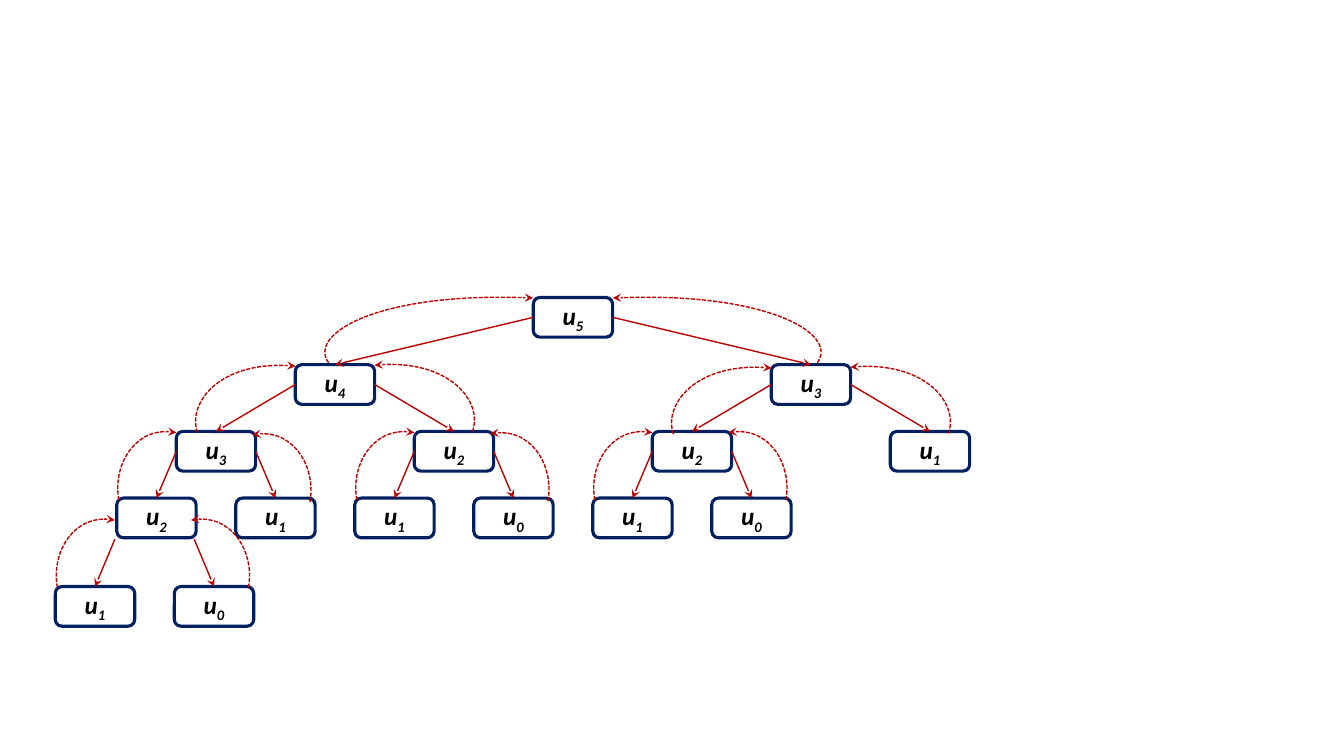
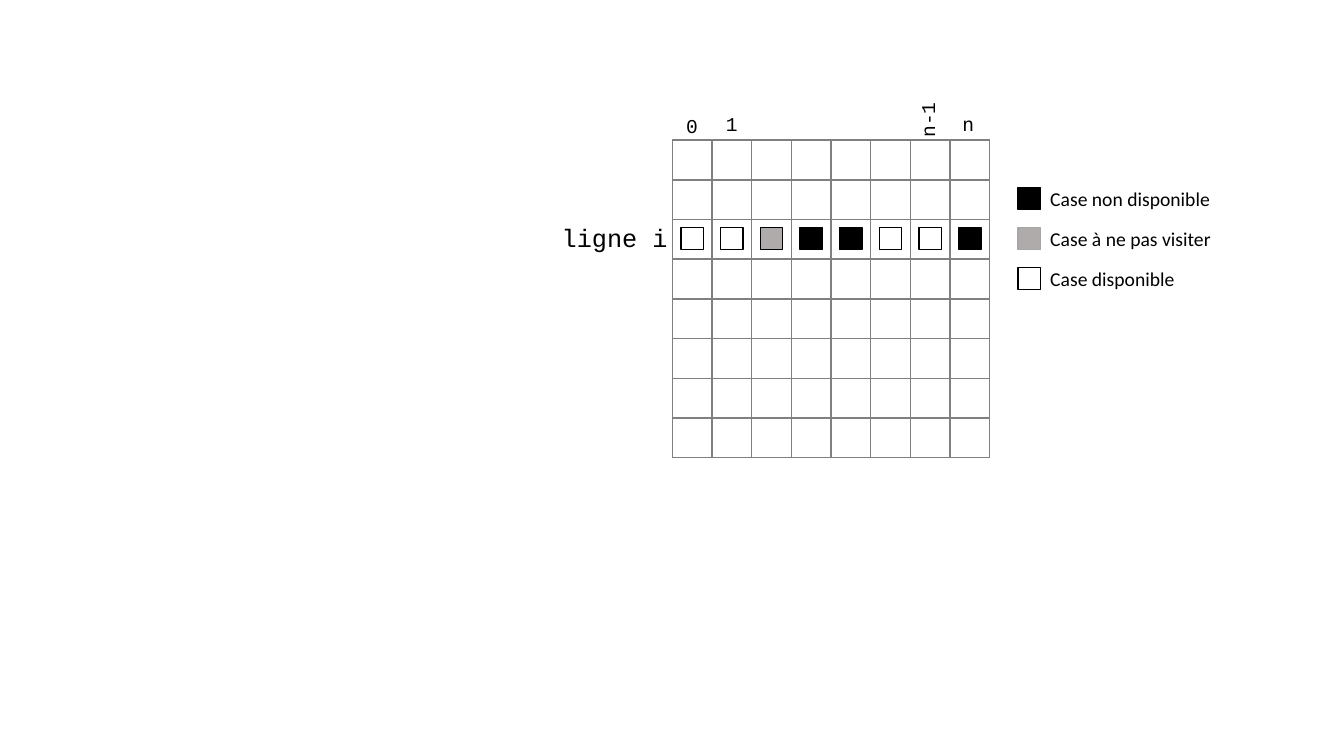
from dataclasses import dataclass
from typing import NamedTuple

from lxml.etree import SubElement
from pptx import Presentation
from pptx.dml.color import RGBColor
from pptx.enum.dml import MSO_LINE
from pptx.enum.shapes import MSO_CONNECTOR as Link, MSO_SHAPE as Preset
from pptx.enum.text import MSO_ANCHOR as Anchor, MSO_AUTO_SIZE as AutoSize, PP_ALIGN as Align
from pptx.oxml.ns import qn
from pptx.util import Pt

BLACK, WHITE, NAVY, RED = "000000", "FFFFFF", "002060", "C00000"
GRID_GREY, SKIP_GREY, LEGEND_GREY = "808080", "AFABAB", "A6A6A6"
SANS, MONO = "Calibri", "Courier New"

NODE_WIDTH, NODE_HEIGHT = 56.7, 28.35
ROOT_CENTRE = 409.3
ARROW_RISE = 33.8
LAST_SHIFT = -1.4
TOP, LEFT, RIGHT = 0, 1, 3

CELL, CELLS = 28.35, 8
GRID_LEFT, GRID_TOP = 480.2, 100.1
SQUARE = 15.9
LEGEND_LEFT, LEGEND_TOP, LEGEND_STEP = 727.2, 133.9, 28.6


class Point(NamedTuple):
    x: float
    y: float


SHORT_ARC = (Point(-4.4, -22.3), Point(10.8, -54), Point(41, -48.2))
MEDIUM_ARC = (Point(-7.4, -21.6), Point(18, -52.5), Point(70, -47.3))
LONG_ARC = (Point(-15.4, -20.9), Point(38.2, -51.4), Point(146, -46.2))


class Level(NamedTuple):
    top: float
    spread: float
    left_inset: float = 0
    right_inset: float = 0
    arc: tuple[Point, ...] = ()


LEVELS = (
    Level(212.5, 0),
    Level(260.5, 170, 23.8, 23.8, LONG_ARC),
    Level(308.2, 85, 15.1, 15.1, MEDIUM_ARC),
    Level(355.8, 42.5, 1.5, 3.8, SHORT_ARC),
    Level(419, 42.5, 1.5, 3.8, SHORT_ARC),
)


@dataclass
class Node:
    index: int
    drop: float = 0
    children: tuple["Node", ...] = ()


@dataclass
class Branch:
    parent: object
    child: object
    depth: int
    side: int
    parent_centre: float
    child_centre: float
    drop: float


class Kind(NamedTuple):
    fill: str | None
    label: str
    legend_line: str = BLACK


class Caption(NamedTuple):
    text: str
    left: float
    top: float
    width: float
    height: float = 24.5
    size: float = 14
    font: str = MONO
    align: Align | None = Align.CENTER
    rotation: float = 0
    anchor: Anchor = Anchor.TOP
    wrap: bool = True


CALLS = Node(5, 0, (
    Node(4, -1.4, (
        Node(3, 0.7, (
            Node(2, 1.4, (Node(1, 0.7), Node(0, 0.7))),
            Node(1, 2.9),
        )),
        Node(2, 0, (Node(1, 1.4), Node(0, 2.2))),
    )),
    Node(3, -1.4, (
        Node(2, 2, (Node(1, 1.4), Node(0, 1.4))),
        Node(1, 1.4),
    )),
))

BLOCKED = Kind(BLACK, "Case non disponible")
SKIPPED = Kind(SKIP_GREY, "Case à ne pas visiter", LEGEND_GREY)
FREE = Kind(None, "Case disponible")
ROW_I = (FREE, FREE, SKIPPED, BLOCKED, BLOCKED, FREE, FREE, BLOCKED)

CAPTIONS = (
    Caption("ligne i", 377.3, 155.5, 106.6, 28.8, 18, align=Align.RIGHT),
    Caption("0", GRID_LEFT, 77.8, CELL),
    Caption("1", GRID_LEFT + CELL, 76.3, CELL),
    Caption("n-1", 641.5, 72.7, 41, align=None, rotation=270, anchor=Anchor.BOTTOM),
    Caption("n", 677.5, 76.3, CELL),
)


def colour(value: str) -> RGBColor:
    return RGBColor.from_string(value)


def paint(shape, fill: str | None, line: str, width: float) -> None:
    shape.shadow.inherit = False
    if fill is None:
        shape.fill.background()
    else:
        shape.fill.solid()
        shape.fill.fore_color.rgb = colour(fill)
    shape.line.color.rgb = colour(line)
    shape.line.width = Pt(width)


def add_arrowhead(shape) -> None:
    SubElement(shape.line._get_or_add_ln(), qn("a:tailEnd"), type="stealth")


def add_line(page, start: Point, end: Point, line: str):
    connector = page.shapes.add_connector(
        Link.STRAIGHT, Pt(start.x), Pt(start.y), Pt(end.x), Pt(end.y))
    connector.line.color.rgb = colour(line)
    connector.line.width = Pt(1)
    SubElement(connector._element.spPr, qn("a:effectLst"))
    return connector


def add_curve(page, points: list[Point]) -> None:
    vertices = [(Pt(point.x), Pt(point.y)) for point in points]
    builder = page.shapes.build_freeform(*vertices[0])
    builder.add_line_segments(vertices[1:], close=False)
    curve = builder.convert_to_shape()
    segments = list(curve._element.iter(qn("a:lnTo")))
    outline = segments[0].getparent()
    bezier = SubElement(outline, qn("a:cubicBezTo"))
    for segment in segments:
        bezier.append(segment[0])
        outline.remove(segment)
    paint(curve, None, RED, 1)
    curve.line.dash_style = MSO_LINE.SQUARE_DOT
    add_arrowhead(curve)


def add_node(page, index: int, centre: float, top: float):
    box = page.shapes.add_shape(
        Preset.ROUNDED_RECTANGLE, Pt(centre - NODE_WIDTH / 2), Pt(top),
        Pt(NODE_WIDTH), Pt(NODE_HEIGHT))
    paint(box, WHITE, NAVY, 2.25)
    box.text_frame.vertical_anchor = Anchor.MIDDLE
    para = box.text_frame.paragraphs[0]
    para.alignment = Align.CENTER
    for text in ("u", str(index)):
        span = para.add_run()
        span.text = text
        span.font.name = SANS
        span.font.size = Pt(18)
        span.font.bold = span.font.italic = True
        span.font.color.rgb = colour(BLACK)
    span._r.get_or_add_rPr().set("baseline", "-25000")
    return box


def place_calls(page, node: Node, centre: float, depth: int, branches: list[Branch]):
    box = add_node(page, node.index, centre, LEVELS[depth].top)
    for side, child in zip((-1, 1), node.children):
        below = depth + 1
        shift = LAST_SHIFT if below == len(LEVELS) - 1 else 0
        child_centre = centre + side * LEVELS[below].spread + shift
        child_box = place_calls(page, child, child_centre, below, branches)
        branches.append(Branch(
            box, child_box, below, side, centre + shift, child_centre, child.drop))
    return box


def add_branch(page, branch: Branch) -> None:
    level, side = LEVELS[branch.depth], branch.side
    half = NODE_WIDTH / 2
    start = Point(branch.parent_centre + side * half, level.top - ARROW_RISE)
    arrow = add_line(page, start, Point(branch.child_centre, level.top), RED)
    if branch.depth < len(LEVELS) - 1:
        arrow.begin_connect(branch.parent, LEFT if side < 0 else RIGHT)
    arrow.end_connect(branch.child, TOP)
    add_arrowhead(arrow)
    inset = level.left_inset if side < 0 else level.right_inset
    origin = Point(branch.child_centre + side * (half - inset), level.top + branch.drop)
    add_curve(page, [origin] + [
        Point(origin.x - side * step.x, origin.y + step.y) for step in level.arc])


def add_square(page, left: float, top: float, fill: str | None, line: str) -> None:
    square = page.shapes.add_shape(
        Preset.RECTANGLE, Pt(left), Pt(top), Pt(SQUARE), Pt(SQUARE))
    paint(square, fill, line, 1)


def add_caption(page, caption: Caption) -> None:
    box = page.shapes.add_textbox(
        Pt(caption.left), Pt(caption.top), Pt(caption.width), Pt(caption.height))
    box.rotation = caption.rotation
    frame = box.text_frame
    frame.text = caption.text
    frame.word_wrap = caption.wrap
    frame.auto_size = AutoSize.SHAPE_TO_FIT_TEXT
    frame.vertical_anchor = caption.anchor
    para = frame.paragraphs[0]
    para.alignment = caption.align
    font = para.runs[0].font
    font.name = caption.font
    font.size = Pt(caption.size)
    font.color.rgb = colour(BLACK)


def build_call_tree(page) -> None:
    branches: list[Branch] = []
    place_calls(page, CALLS, ROOT_CENTRE, 0, branches)
    for branch in branches:
        add_branch(page, branch)


def build_board(page) -> None:
    right, bottom = GRID_LEFT + CELLS * CELL, GRID_TOP + CELLS * CELL
    for step in range(CELLS + 1):
        x, y = GRID_LEFT + step * CELL, GRID_TOP + step * CELL
        add_line(page, Point(x, GRID_TOP), Point(x, bottom), GRID_GREY)
        add_line(page, Point(GRID_LEFT, y), Point(right, y), GRID_GREY)
    for caption in CAPTIONS:
        add_caption(page, caption)
    margin = (CELL - SQUARE) / 2
    for column, kind in enumerate(ROW_I):
        add_square(page, GRID_LEFT + column * CELL + margin,
                   GRID_TOP + 2 * CELL + margin - 0.5, kind.fill, BLACK)
    for row, kind in enumerate((BLOCKED, SKIPPED, FREE)):
        top = LEGEND_TOP + row * LEGEND_STEP
        add_square(page, LEGEND_LEFT, top, kind.fill, kind.legend_line)
        add_caption(page, Caption(
            kind.label, LEGEND_LEFT + SQUARE, top - 3.9, 130, font=SANS,
            align=Align.LEFT, wrap=False))


def main() -> None:
    deck = Presentation()
    deck.slide_width, deck.slide_height = Pt(960), Pt(540)
    for build in (build_call_tree, build_board):
        build(deck.slides.add_slide(deck.slide_layouts[6]))
    deck.save("out.pptx")


if __name__ == "__main__":
    main()
